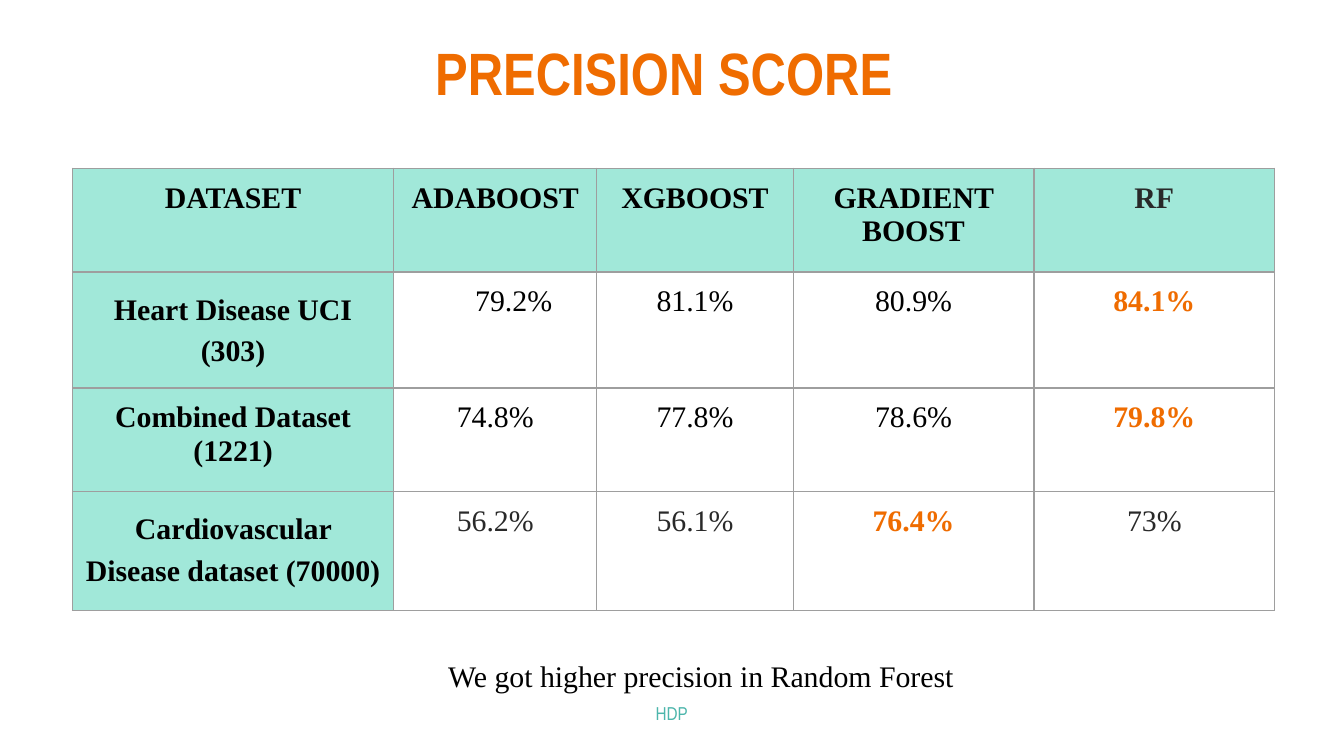
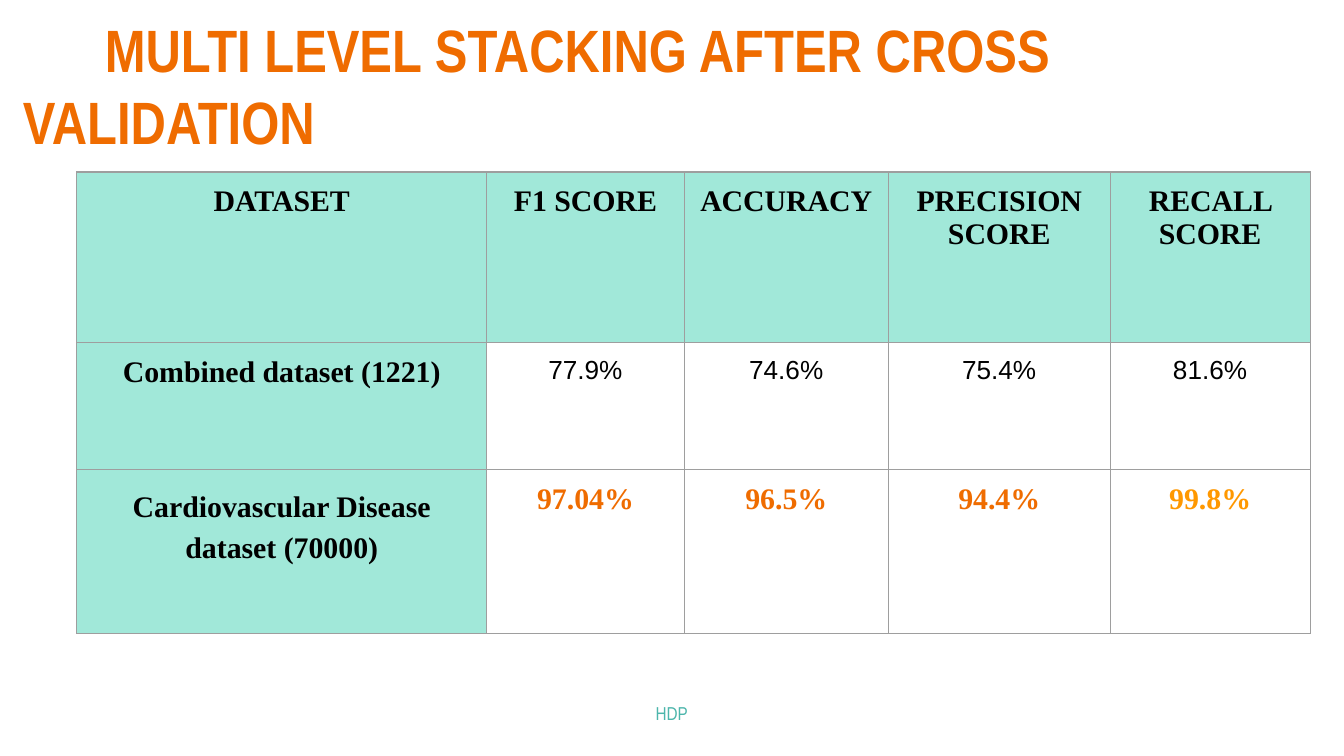
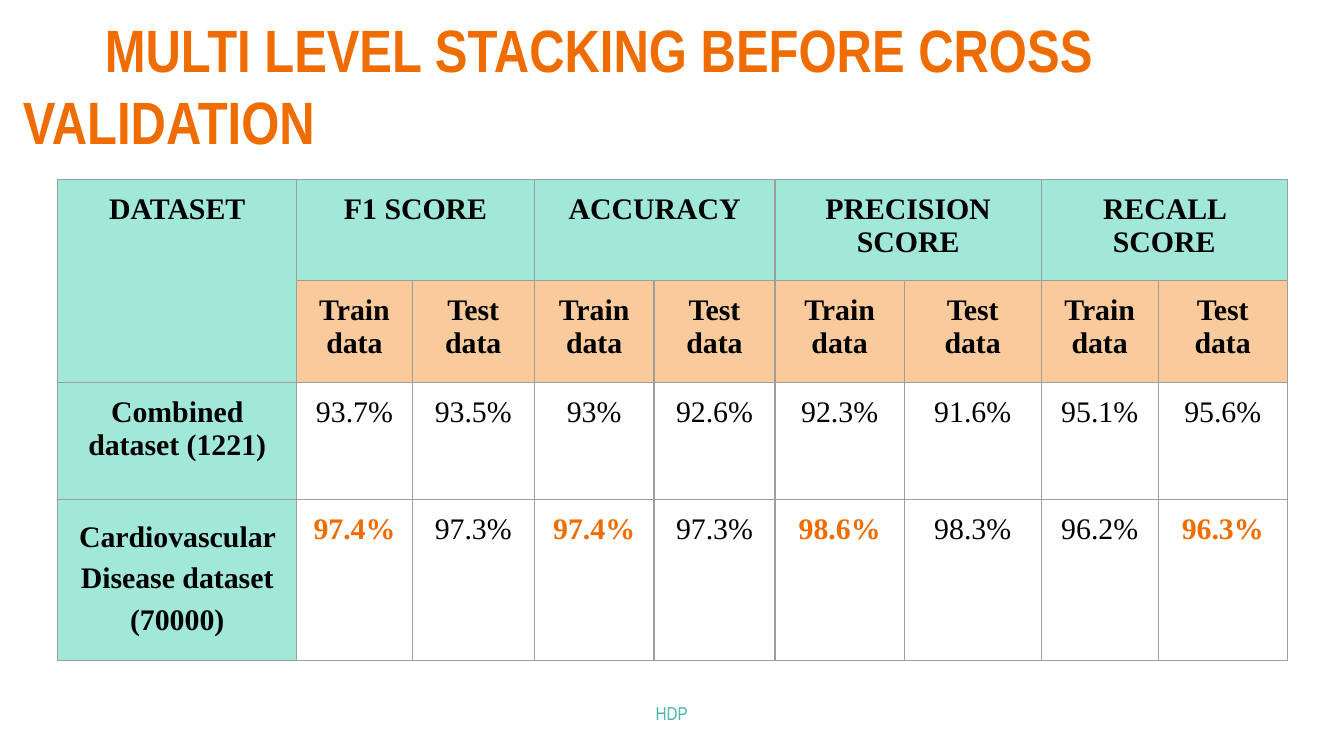
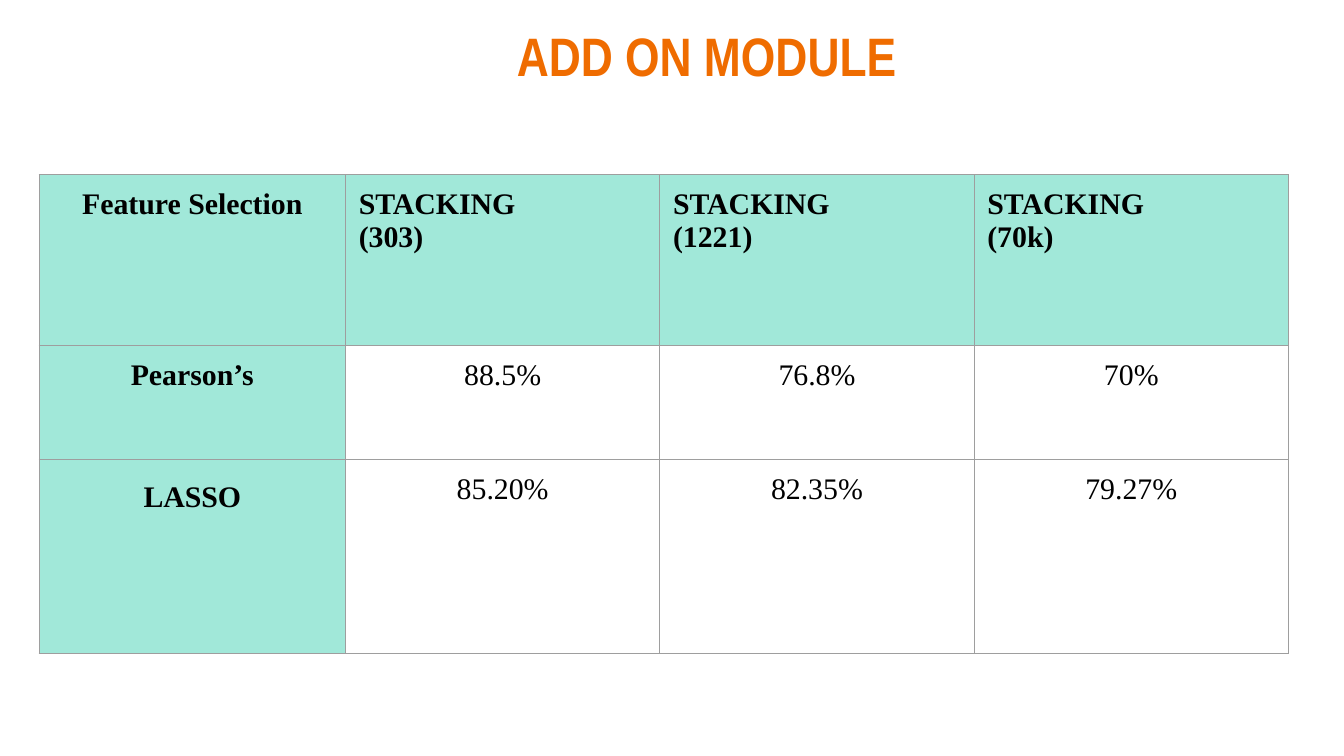
from dataclasses import dataclass

from lxml import etree
from pptx import Presentation
from pptx.dml.color import RGBColor
from pptx.enum.text import MSO_ANCHOR, MSO_AUTO_SIZE, PP_ALIGN
from pptx.oxml.ns import qn
from pptx.util import Cm, Pt

LEFT, CENTER = PP_ALIGN.LEFT, PP_ALIGN.CENTER
TOP = MSO_ANCHOR.TOP
GROW = MSO_AUTO_SIZE.SHAPE_TO_FIT_TEXT


@dataclass(frozen=True)
class Theme:
    orange: str = "EF6C00"
    amber: str = "FF9800"
    teal: str = "4DB6AC"
    mint: str = "A1E8D9"
    peach: str = "F9CB9C"
    grid: str = "9E9E9E"
    black: str = "000000"
    charcoal: str = "292929"
    title_font: str = "Arial Narrow"
    body_font: str = "Times New Roman"
    plain_font: str = "Arial"
    title_size: float = 32
    small_title_size: float = 29
    body_size: float = 16
    plain_size: float = 14
    footer_size: float = 10
    grid_width: float = 0.75
    inset: float = 0.25


THEME = Theme()

# What each cell role changes from a plain centred value.
LABEL = {"bold": True, "fill": THEME.mint}
ROLES = {
    "value": {},
    "label": LABEL,
    "loose label": {**LABEL, "loose": True},
    "left label": {**LABEL, "align": LEFT},
    "grey label": {**LABEL, "color": THEME.charcoal},
    "sublabel": {"bold": True, "fill": THEME.peach},
    "best": {"bold": True, "color": THEME.orange},
    "peak": {"bold": True, "color": THEME.amber},
    "grey": {"color": THEME.charcoal},
    "plain": {"font": THEME.plain_font, "size": THEME.plain_size},
    "indented": {"align": LEFT, "indent": 1.29},
}

CARDIO = ("Cardiovascular Disease dataset (70000)", "loose label")
PRECISION = "PRECISION\nSCORE"
RECALL = "RECALL SCORE"
TRAIN_TEST = [("Train\ndata", "sublabel"), ("Test\ndata", "sublabel")]
STACKING_TITLE = {"box": (0.18, 0, 25.07, 1.88), "align": LEFT, "first_line": 1.55}

# Lengths are centimetres. A cell is text or (text, role); None continues a merged cell.
SLIDES = [
    {
        "title": {"text": "PRECISION SCORE", "box": (0.89, 0.43, 23.62, 1.88), "pad_right": 0.3},
        "table": {
            "at": (1.37, 3.18),
            "columns": [6.07, 3.84, 3.71, 4.55, 4.55],
            "rows": [1.96, 2.13, 1.96, 2.24],
            "cells": [
                ["DATASET", "ADABOOST", "XGBOOST", "GRADIENT BOOST", ("RF", "grey label")],
                [("Heart Disease UCI (303)", "loose label"), ("79.2%", "indented"),
                 "81.1%", "80.9%", ("84.1%", "best")],
                ["Combined Dataset (1221)", "74.8%", "77.8%", "78.6%", ("79.8%", "best")],
                [CARDIO, ("56.2%", "grey"), ("56.1%", "grey"), ("76.4%", "best"), ("73%", "grey")],
            ],
        },
        "caption": "We got higher precision in Random Forest",
        "footer": "HDP",
    },
    {
        "title": {"text": "MULTI LEVEL STACKING AFTER CROSS VALIDATION", **STACKING_TITLE},
        "table": {
            "at": (1.45, 3.25),
            "columns": [7.75, 3.73, 3.86, 4.19, 3.78],
            "rows": [3.23, 2.39, 3.1],
            "cells": [
                ["DATASET", "F1 SCORE", "ACCURACY", PRECISION, RECALL],
                ["Combined dataset (1221)", ("77.9%", "plain"), ("74.6%", "plain"),
                 ("75.4%", "plain"), ("81.6%", "plain")],
                [CARDIO, ("97.04%", "best"), ("96.5%", "best"), ("94.4%", "best"),
                 ("99.8%", "peak")],
            ],
        },
        "footer": "HDP",
    },
    {
        "title": {"text": "MULTI LEVEL STACKING BEFORE CROSS VALIDATION", **STACKING_TITLE},
        "table": {
            "at": (1.09, 3.4),
            "columns": [4.52, 2.18, 2.31, 2.26, 2.29, 2.44, 2.59, 2.21, 2.44],
            "rows": [1.9, 1.93, 2.21, 2.95],
            "cells": [
                ["DATASET", "F1 SCORE", None, "ACCURACY", None, PRECISION, None, RECALL, None],
                [None, *TRAIN_TEST * 4],
                ["Combined dataset (1221)", "93.7%", "93.5%", "93%", "92.6%",
                 "92.3%", "91.6%", "95.1%", "95.6%"],
                [CARDIO, ("97.4%", "best"), "97.3%", ("97.4%", "best"), "97.3%",
                 ("98.6%", "best"), "98.3%", "96.2%", ("96.3%", "best")],
            ],
        },
        "footer": "HDP",
    },
    {
        "title": {"text": "ADD ON MODULE", "box": (0.23, 0.18, 24.94, 1.75),
                  "size": THEME.small_title_size, "pad_left": 1.32},
        "table": {
            "at": (0.74, 3.3),
            "columns": [5.79, 5.94, 5.94, 5.94],
            "rows": [3.23, 2.16, 3.66],
            "cells": [
                ["Feature Selection", ("STACKING\n(303)", "left label"),
                 ("STACKING\n(1221)", "left label"), ("STACKING\n(70k)", "left label")],
                ["Pearson’s", "88.5%", "76.8%", "70%"],
                [("LASSO", "loose label"), "85.20%", "82.35%", "79.27%"],
            ],
        },
    },
]

CAPTION_BOX = (1.22, 12.19, 22.94, 1.19)
CAPTION_PAD = 1.12
FOOTER_BOX = (8.53, 13.06, 8.33, 0.94)


def write(frame, text, font=THEME.body_font, size=THEME.body_size, color=THEME.black,
          bold=False, align=CENTER):
    """Fill a text frame, one paragraph per line of text."""
    frame.text = text
    for para in frame.paragraphs:
        para.alignment = align
        para.font.name = font
        para.font.size = Pt(size)
        para.font.bold = bold
        para.font.color.rgb = RGBColor.from_string(color)


def set_insets(target, extra_left=0, extra_right=0):
    target.margin_left = Cm(THEME.inset + extra_left)
    target.margin_right = Cm(THEME.inset + extra_right)
    target.margin_top = target.margin_bottom = Cm(THEME.inset)


def prepare_box(box, place, pad_left=0, pad_right=0):
    box.left, box.top, box.width, box.height = map(Cm, place)
    frame = box.text_frame
    frame.word_wrap = True
    frame.auto_size = GROW
    frame.vertical_anchor = TOP
    set_insets(frame, pad_left, pad_right)
    return frame


def add_title(page, text, box, size=THEME.title_size, align=CENTER, first_line=0,
              pad_left=0, pad_right=0):
    frame = prepare_box(page.shapes.title, box, pad_left, pad_right)
    write(frame, text, THEME.title_font, size, THEME.orange, True, align)
    if first_line:
        frame.paragraphs[0]._p.get_or_add_pPr().set("indent", str(Cm(first_line)))


def add_text(page, text, place, pad_left=0, **style):
    box = page.shapes.add_textbox(*map(Cm, place))
    write(prepare_box(box, place, pad_left), text, **style)


def add_borders(cell):
    properties = cell._tc.get_or_add_tcPr()
    for position, side in enumerate(("a:lnL", "a:lnR", "a:lnT", "a:lnB")):
        line = etree.Element(qn(side), w=str(Pt(THEME.grid_width)))
        fill = etree.SubElement(line, qn("a:solidFill"))
        etree.SubElement(fill, qn("a:srgbClr"), val=THEME.grid)
        properties.insert(position, line)


def merge_spans(table, cells):
    """Merge every cell with the None cells to its right, or else below it."""
    for r, row in enumerate(cells):
        for c, content in enumerate(row):
            if content is None:
                continue
            right, bottom = c, r
            while right + 1 < len(row) and row[right + 1] is None:
                right += 1
            while right == c and bottom + 1 < len(cells) and cells[bottom + 1][c] is None:
                bottom += 1
            if (bottom, right) != (r, c):
                table.cell(r, c).merge(table.cell(bottom, right))


def fill_cell(cell, text, fill=None, loose=False, indent=0, **style):
    write(cell.text_frame, text, **style)
    set_insets(cell, indent)
    cell.vertical_anchor = TOP
    if loose:
        for para in cell.text_frame.paragraphs:
            para.line_spacing = 1.25
            para.space_after = Pt(6)
    if fill:
        cell.fill.solid()
        cell.fill.fore_color.rgb = RGBColor.from_string(fill)
    else:
        cell.fill.background()


def add_grid(page, at, columns, rows, cells):
    size = sum(columns), sum(rows)
    table = page.shapes.add_table(len(rows), len(columns), *map(Cm, at + size)).table
    table.first_row = table.horz_banding = False
    for column, width in zip(table.columns, columns):
        column.width = Cm(width)
    for row, height in zip(table.rows, rows):
        row.height = Cm(height)
    for r, row in enumerate(cells):
        for c, content in enumerate(row):
            cell = table.cell(r, c)
            if isinstance(content, tuple):
                text, role = content
            else:
                text, role = content or "", "label" if r == 0 or c == 0 else "value"
            fill_cell(cell, text, **ROLES[role])
            add_borders(cell)
    merge_spans(table, cells)


def main():
    deck = Presentation()
    deck.slide_width, deck.slide_height = Cm(25.4), Cm(14.29)
    title_only = deck.slide_layouts[5]
    for content in SLIDES:
        page = deck.slides.add_slide(title_only)
        add_title(page, **content["title"])
        add_grid(page, **content["table"])
        if "caption" in content:
            add_text(page, content["caption"], CAPTION_BOX, CAPTION_PAD)
        if "footer" in content:
            add_text(page, content["footer"], FOOTER_BOX, font=THEME.title_font,
                     size=THEME.footer_size, color=THEME.teal)
    deck.save("out.pptx")


if __name__ == "__main__":
    main()
